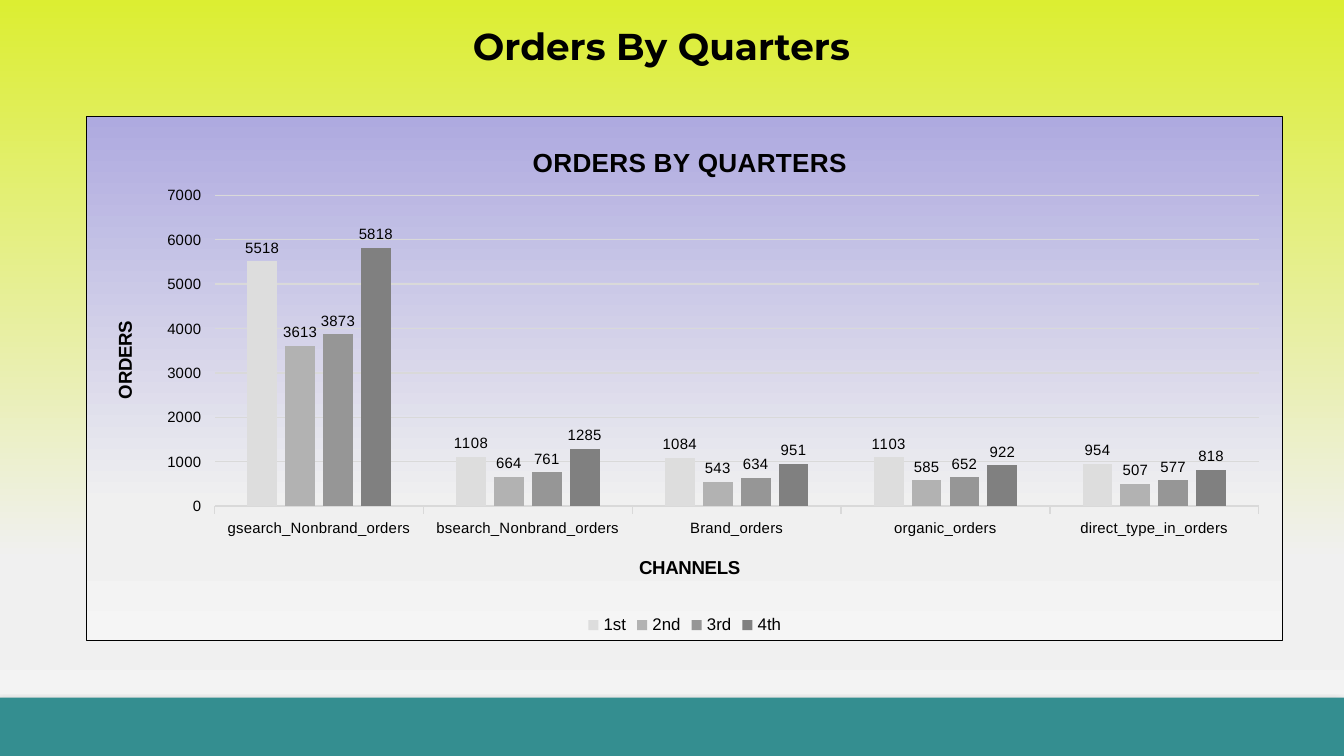
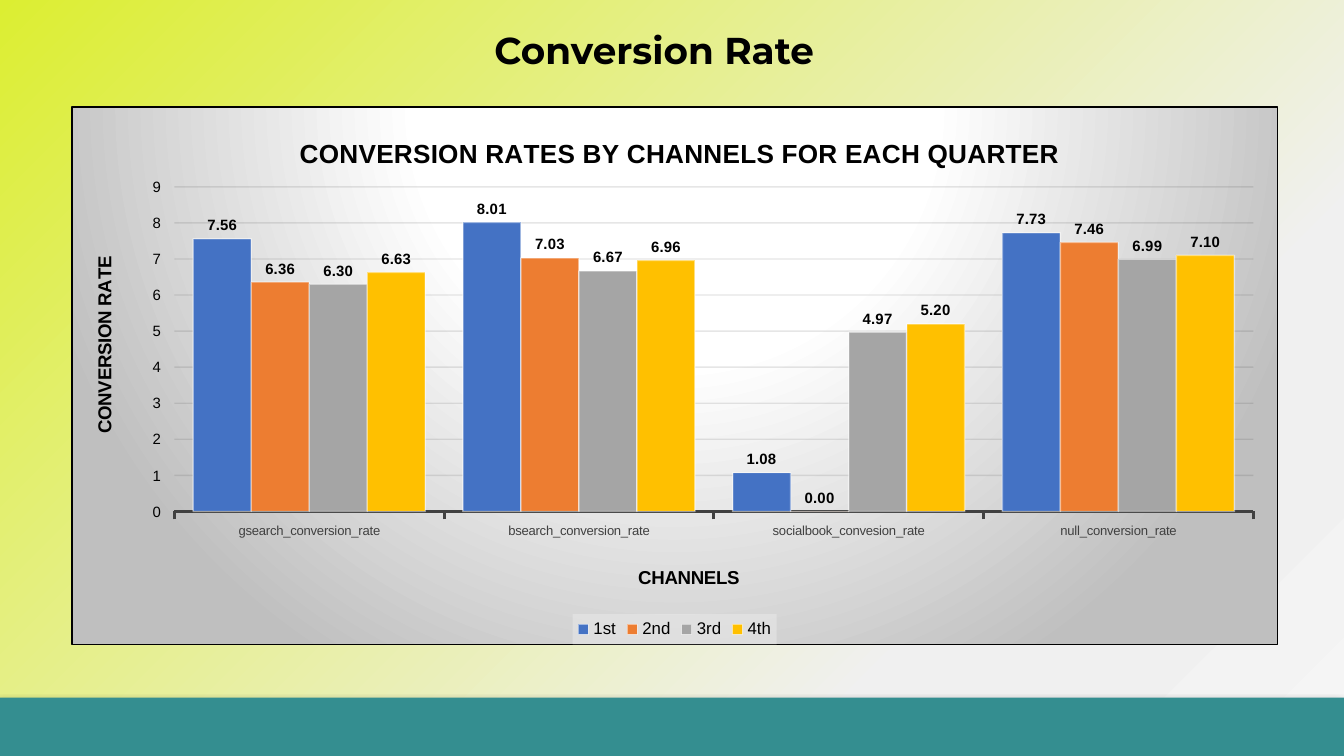
from dataclasses import dataclass
from typing import Optional

import lxml.etree
import pptx
import pptx.chart.data
import pptx.dml.color
import pptx.enum.chart
import pptx.enum.shapes
import pptx.enum.text
import pptx.oxml
import pptx.oxml.ns
import pptx.util

SLIDE_WIDTH = pptx.util.Inches(10)
SLIDE_HEIGHT = pptx.util.Inches(5.625)

BLACK = "000000"
BAND_COLOR = "348E90"
HEADING_FONT, BODY_FONT = "Montserrat", "Arial"
FADE = [(74, "F0F0F0"), (83, "F0F0F0"), (100, "F5F5F5")]
LIME_FADE = [(0, "DCEE32"), *FADE]
LILAC_FADE = [(0, "AEAAE0"), *FADE]
SPOTLIGHT = [(0, "FFFFFF"), (39, "FFFFFF"), (100, "BFBFBF")]
QUARTERS = ["1st", "2nd", "3rd", "4th"]

NS = {"a": "http://schemas.openxmlformats.org/drawingml/2006/main",
      "c": "http://schemas.openxmlformats.org/drawingml/2006/chart",
      "p": "http://schemas.openxmlformats.org/presentationml/2006/main"}
DECLARED = " ".join(f'xmlns:{prefix}="{uri}"' for prefix, uri in NS.items())


@dataclass
class Area:
    """A place in percent of the slide, or of the chart it belongs to."""
    left: float
    top: float
    width: float = 0
    height: float = 0

    def on_slide(self) -> list[int]:
        return [round(share * full / 100) for share, full in (
            (self.left, SLIDE_WIDTH), (self.top, SLIDE_HEIGHT),
            (self.width, SLIDE_WIDTH), (self.height, SLIDE_HEIGHT))]


@dataclass
class Caption:
    text: str
    area: Area
    size: float = 10


@dataclass
class QuarterChart:
    area: Area
    plot_area: Area
    title: Caption
    channel_axis: Caption
    value_axis: Caption
    channels: list[str]
    values: list[list[float]]
    colors: list[str]
    backdrop: str
    top_value: float
    step: float
    gap: int
    overlap: int
    axis_color: str
    axis_width: float
    channel_color: str
    channel_size: float
    grid_color: str
    grid_alpha: int = 100
    label_format: str = "General"
    bold_labels: bool = False
    bar_outline: Optional[str] = None
    legend_fill: Optional[str] = None


@dataclass
class Page:
    heading: Caption
    background_angle: int
    chart: QuarterChart


BAND = Area(0, 92.3, 100, 7.7)


def rgb(value: str) -> pptx.dml.color.RGBColor:
    return pptx.dml.color.RGBColor.from_string(value)


def xml(markup: str) -> lxml.etree._Element:
    """Parse markup whose root tag ends with its first space or bracket."""
    cut = min(at for at in (markup.find(" "), markup.find(">"), markup.find("/>")) if at > 0)
    return pptx.oxml.parse_xml(f"{markup[:cut]} {DECLARED}{markup[cut:]}")


def gradient(stops: list[tuple[int, str]], shade: str) -> str:
    marks = "".join(f'<a:gs pos="{at * 1000}"><a:srgbClr val="{color}"/></a:gs>'
                    for at, color in stops)
    return f'<a:gradFill rotWithShape="1"><a:gsLst>{marks}</a:gsLst>{shade}</a:gradFill>'


def linear(angle: int) -> str:
    return f'<a:lin ang="{angle * 60000}" scaled="0"/>'


CIRCLE = ('<a:path path="circle"><a:fillToRect l="50000" t="-80000" r="50000" b="180000"/>'
          '</a:path>')


def set_alpha(root, path: str, percent: int) -> None:
    for color in root.iterfind(f"{path}//a:srgbClr", NS):
        color.append(xml(f'<a:alpha val="{percent * 1000}"/>'))


def set_font(font, size: float, color: str = BLACK, bold: bool = False,
             face: str = BODY_FONT) -> None:
    font.size, font.bold, font.name = pptx.util.Pt(size), bold, face
    font.color.rgb = rgb(color)


def place(part, area: Area) -> None:
    """Give a chart part a fixed place inside its chart."""
    for automatic in part.findall("c:layout", NS):
        part.remove(automatic)
    modes = '<c:xMode val="edge"/><c:yMode val="edge"/>'
    numbers = {"x": area.left, "y": area.top}
    target = ""
    if area.width:
        target = '<c:layoutTarget val="inner"/>'
        numbers |= {"w": area.width, "h": area.height}
    shares = "".join(f'<c:{key} val="{share / 100:.4f}"/>' for key, share in numbers.items())
    layout = xml(f"<c:layout><c:manualLayout>{target}{modes}{shares}</c:manualLayout></c:layout>")
    text = part.find("c:tx", NS)
    if text is None:
        part.insert(0, layout)
    else:
        text.addnext(layout)


def write_caption(title, caption: Caption) -> None:
    title.text_frame.text = caption.text
    set_font(title.text_frame.paragraphs[0].font, caption.size, bold=True)
    place(title.element, caption.area)


def style_axes(chart, look: QuarterChart) -> None:
    channels, values = chart.category_axis, chart.value_axis
    write_caption(channels.axis_title, look.channel_axis)
    write_caption(values.axis_title, look.value_axis)
    values.axis_title.element.find(".//a:bodyPr", NS).set("rot", "-5400000")
    set_font(channels.tick_labels.font, look.channel_size, look.channel_color)
    set_font(values.tick_labels.font, 8)
    for axis in (channels, values):
        axis.major_tick_mark = pptx.enum.chart.XL_TICK_MARK.OUTSIDE
    channels.format.line.color.rgb = rgb(look.axis_color)
    channels.format.line.width = pptx.util.Pt(look.axis_width)
    values.format.line.fill.background()
    values.minimum_scale, values.maximum_scale = 0, look.top_value
    values.major_unit = look.step
    grid = values.major_gridlines.format.line
    grid.color.rgb, grid.width = rgb(look.grid_color), pptx.util.Pt(0.75)
    if look.grid_alpha < 100:
        set_alpha(chart.element, ".//c:majorGridlines", look.grid_alpha)


def style_bars(chart, look: QuarterChart) -> None:
    plot = chart.plots[0]
    plot.vary_by_categories = False
    plot.gap_width, plot.overlap = look.gap, look.overlap
    for quarter, color in zip(plot.series, look.colors):
        quarter.invert_if_negative = False
        quarter.format.fill.solid()
        quarter.format.fill.fore_color.rgb = rgb(color)
        if look.bar_outline:
            quarter.format.line.color.rgb = rgb(look.bar_outline)
            quarter.format.line.width = pptx.util.Pt(0.75)
        labels = quarter.data_labels
        labels.show_value = True
        labels.position = pptx.enum.chart.XL_LABEL_POSITION.OUTSIDE_END
        labels.number_format, labels.number_format_is_linked = look.label_format, False
        set_font(labels.font, 8, bold=look.bold_labels)
    set_alpha(chart.element, ".//c:ser/c:spPr/a:ln", 50)


def style_legend(chart, look: QuarterChart) -> None:
    chart.has_legend = True
    chart.legend.position = pptx.enum.chart.XL_LEGEND_POSITION.BOTTOM
    chart.legend.include_in_layout = False
    set_font(chart.legend.font, 9)
    if look.legend_fill:
        legend = chart.element.find(".//c:legend", NS)
        legend.find("c:txPr", NS).addprevious(xml(
            f'<c:spPr><a:solidFill><a:srgbClr val="{look.legend_fill}"/></a:solidFill></c:spPr>'))
        set_alpha(legend, "c:spPr", 39)


def draw_chart(slide, look: QuarterChart) -> None:
    data = pptx.chart.data.CategoryChartData()
    data.categories = look.channels
    for quarter, values in zip(QUARTERS, look.values):
        data.add_series(quarter, values)
    chart = slide.shapes.add_chart(pptx.enum.chart.XL_CHART_TYPE.COLUMN_CLUSTERED,
                                   *look.area.on_slide(), data).chart
    set_font(chart.font, 10)
    write_caption(chart.chart_title, look.title)
    style_axes(chart, look)
    style_bars(chart, look)
    style_legend(chart, look)
    place(chart.element.find(".//c:plotArea", NS), look.plot_area)
    chart.element.find("c:chart", NS).addnext(xml(
        f'<c:spPr>{look.backdrop}<a:ln w="9525"><a:solidFill><a:srgbClr val="{BLACK}"/>'
        '</a:solidFill></a:ln></c:spPr>'))


def draw_band(slide) -> None:
    band = slide.shapes.add_shape(pptx.enum.shapes.MSO_SHAPE.RECTANGLE, *BAND.on_slide())
    band.fill.solid()
    band.fill.fore_color.rgb = rgb(BAND_COLOR)
    band.line.fill.background()
    band.shadow.inherit = False
    band.element.find(".//a:effectLst", NS).append(xml(
        '<a:outerShdw blurRad="50800" dist="38100" dir="8100000">'
        f'<a:srgbClr val="{BLACK}"><a:alpha val="40000"/></a:srgbClr></a:outerShdw>'))


def draw_heading(slide, heading: Caption) -> None:
    frame = slide.shapes.add_textbox(*heading.area.on_slide()).text_frame
    frame.word_wrap = True
    frame.auto_size = pptx.enum.text.MSO_AUTO_SIZE.SHAPE_TO_FIT_TEXT
    frame.text = heading.text
    set_font(frame.paragraphs[0].font, heading.size, bold=True, face=HEADING_FONT)


def draw_page(deck, page: Page) -> None:
    slide = deck.slides.add_slide(deck.slide_layouts[6])
    slide.background.fill.solid()
    backdrop = slide.element.find(".//p:bgPr", NS)
    backdrop.replace(backdrop[0], xml(gradient(LIME_FADE, linear(page.background_angle))))
    draw_band(slide)
    draw_heading(slide, page.heading)
    draw_chart(slide, page.chart)


ORDERS = QuarterChart(
    area=Area(6.4, 15.29, 89.1, 69.5), plot_area=Area(10.7, 15.1, 87.3, 59.3),
    title=Caption("ORDERS BY QUARTERS", Area(36.9, 4.7), 14),
    channel_axis=Caption("CHANNELS", Area(45.9, 83.2)),
    value_axis=Caption("ORDERS", Area(1.9, 38.5)),
    channels=["gsearch_Nonbrand_orders", "bsearch_Nonbrand_orders", "Brand_orders",
              "organic_orders", "direct_type_in_orders"],
    values=[[5518, 1108, 1084, 1103, 954], [3613, 664, 543, 585, 507],
            [3873, 761, 634, 652, 577], [5818, 1285, 951, 922, 818]],
    colors=["DDDDDD", "B2B2B2", "969696", "808080"],
    backdrop=gradient(LILAC_FADE, linear(90)),
    top_value=7000, step=1000, gap=219, overlap=-27,
    axis_color="D9D9D9", axis_width=0.75, channel_color=BLACK, channel_size=8,
    grid_color="D9D9D9")

CONVERSION = QuarterChart(
    area=Area(5.3, 14.04, 89.8, 71.29), plot_area=Area(8.5, 14.9, 89.5, 60.4),
    title=Caption("CONVERSION RATES BY CHANNELS FOR EACH QUARTER", Area(18.5, 4.7), 14),
    channel_axis=Caption("CHANNELS", Area(46.7, 84.7)),
    value_axis=Caption("CONVERSION RATE", Area(1.4, 27.3)),
    channels=["gsearch_conversion_rate", "bsearch_conversion_rate",
              "socialbook_convesion_rate", "null_conversion_rate"],
    values=[[7.56, 8.01, 1.08, 7.73], [6.36, 7.03, 0, 7.46],
            [6.3, 6.67, 4.97, 6.99], [6.63, 6.96, 5.2, 7.1]],
    colors=["4472C4", "ED7D31", "A5A5A5", "FFC000"],
    backdrop=gradient(SPOTLIGHT, CIRCLE),
    top_value=9, step=1, gap=65, overlap=0,
    axis_color="404040", axis_width=1.5, channel_color="404040", channel_size=7,
    grid_color="0D0D0D", grid_alpha=10, label_format="0.00", bold_labels=True,
    bar_outline="FFFFFF", legend_fill="F2F2F2")

PAGES = [
    Page(Caption("Orders By Quarters", Area(34.2, 2.13, 33.1, 7.82), 20), 90, ORDERS),
    Page(Caption("Conversion Rate", Area(35.8, 2.67, 31.7, 7.82), 20), 45, CONVERSION),
]


def main() -> None:
    deck = pptx.Presentation()
    deck.slide_width, deck.slide_height = SLIDE_WIDTH, SLIDE_HEIGHT
    for page in PAGES:
        draw_page(deck, page)
    deck.save("out.pptx")


if __name__ == "__main__":
    main()
